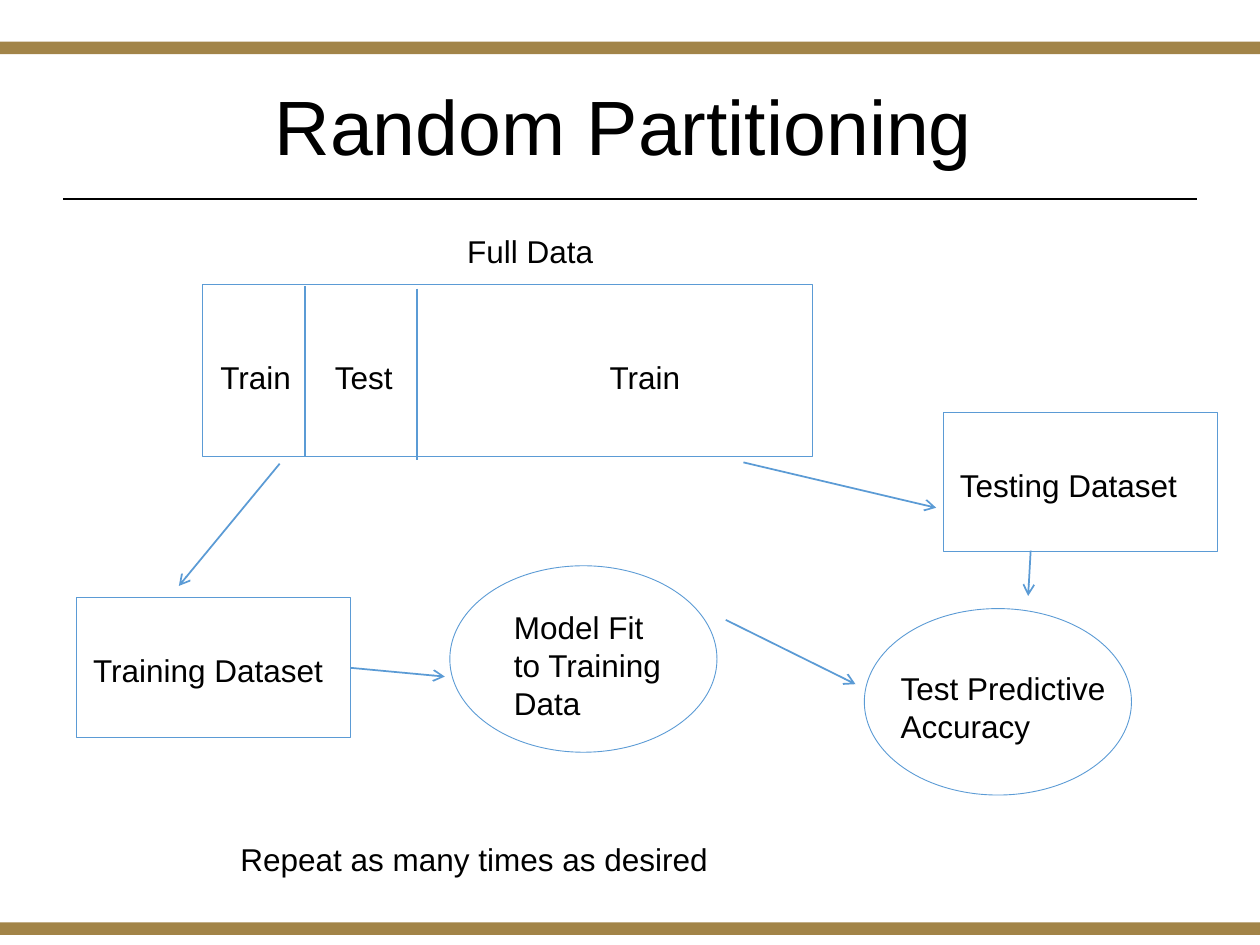
import pptx
import pptx.dml.color
import pptx.enum.shapes
import pptx.enum.text
import pptx.oxml
import pptx.oxml.ns
import pptx.util

RGBColor = pptx.dml.color.RGBColor
Shapes = pptx.enum.shapes.MSO_SHAPE
Text = pptx.enum.text

GOLD = RGBColor(0xA2, 0x84, 0x48)
BLUE = RGBColor(0x5B, 0x9B, 0xD5)
BLACK = RGBColor(0, 0, 0)
FONT = "Arial"

SLIDE_WIDTH = pptx.util.Inches(10)
SLIDE_HEIGHT = pptx.util.Inches(7.5)
COLUMN = SLIDE_WIDTH / 100
ROW = SLIDE_HEIGHT / 75

BOX_SIZE = (21.7, 11.1)
ELLIPSE_SIZE = (21.2, 14.8)
FULL_DATA = (16.1, 22.6, 48.4, 13.6)
LABEL_HEIGHT = 4


def grid(*lengths):
    """Turn alternating columns and rows into slide lengths."""
    return [round(length * (ROW if index % 2 else COLUMN))
            for index, length in enumerate(lengths)]


def style_text(text_frame, size):
    """Give every paragraph the slide's font, size and colour."""
    for paragraph in text_frame.paragraphs:
        paragraph.font.name = FONT
        paragraph.font.size = pptx.util.Pt(size)
        paragraph.font.color.rgb = BLACK


def add_title(slide, text):
    """Fill and place the title placeholder."""
    title = slide.shapes.title
    title.left, title.top, title.width, title.height = grid(6.4, 3.1, 86.2, 14.5)
    text_frame = title.text_frame
    text_frame.text = text
    text_frame.auto_size = Text.MSO_AUTO_SIZE.NONE
    text_frame.vertical_anchor = Text.MSO_ANCHOR.MIDDLE
    text_frame.paragraphs[0].alignment = Text.PP_ALIGN.CENTER
    text_frame.paragraphs[0].line_spacing = 0.9
    style_text(text_frame, 44)


def add_bar(slide, top):
    """Draw a gold band across the slide."""
    bar = slide.shapes.add_shape(Shapes.RECTANGLE, *grid(0, top, 100, 1))
    bar.shadow.inherit = False
    bar.fill.solid()
    bar.fill.fore_color.rgb = GOLD
    bar.line.fill.background()


def add_outline(slide, kind, left, top, width, height):
    """Draw an unfilled shape with a thin blue outline."""
    shape = slide.shapes.add_shape(kind, *grid(left, top, width, height))
    shape.shadow.inherit = False
    shape.fill.background()
    shape.line.color.rgb = BLUE
    shape.line.width = pptx.util.Pt(0.5)


def add_label(slide, text, left, top, width, height=LABEL_HEIGHT, wrap=False):
    """Write a left-aligned text box."""
    text_box = slide.shapes.add_textbox(*grid(left, top, width, height))
    text_frame = text_box.text_frame
    text_frame.text = text
    text_frame.word_wrap = wrap
    text_frame.auto_size = Text.MSO_AUTO_SIZE.SHAPE_TO_FIT_TEXT
    style_text(text_frame, 18)


def add_line(slide, start, end, color=BLUE, width=1, arrow=False):
    """Draw a straight line, with an open arrowhead at its end on request."""
    connector = slide.shapes.add_connector(
        pptx.enum.shapes.MSO_CONNECTOR.STRAIGHT, *grid(*start, *end))
    connector.line.color.rgb = color
    connector.line.width = pptx.util.Pt(width)
    if arrow:
        outline = connector.line._get_or_add_ln()
        outline.append(pptx.oxml.parse_xml(
            f'<a:tailEnd {pptx.oxml.ns.nsdecls("a")} type="arrow"/>'))
    connector._element.spPr.append(pptx.oxml.parse_xml(
        f'<a:effectLst {pptx.oxml.ns.nsdecls("a")}/>'))


def add_dataset(slide, text, left, top, label_width):
    """Draw a dataset box with its label."""
    add_outline(slide, Shapes.RECTANGLE, left, top, *BOX_SIZE)
    add_label(slide, text, left + 0.3, top + 3.8, label_width)


def add_full_data(slide):
    """Draw the full data box split into its partitions."""
    add_label(slide, "Full Data", 36.1, 17.9, 12.1)
    add_outline(slide, Shapes.RECTANGLE, *FULL_DATA)
    for column, top in ((24.2, 22.7), (33.1, 22.9)):
        add_line(slide, (column, top), (column, top + FULL_DATA[3]))
    for text, left, width in (("Train", 16.5, 7.7), ("Test", 25.6, 7.5),
                              ("Train", 47.4, 10.6)):
        add_label(slide, text, left, 27.9, width)


def main():
    """Build the random partitioning slide."""
    presentation = pptx.Presentation()
    presentation.slide_width = SLIDE_WIDTH
    presentation.slide_height = SLIDE_HEIGHT
    slide = presentation.slides.add_slide(presentation.slide_layouts[5])

    for top in (3.3, 73.2):
        add_bar(slide, top)
    add_line(slide, (5, 15.8), (95, 15.8), BLACK, 1.25)
    add_title(slide, "Random Partitioning")

    add_full_data(slide)
    add_dataset(slide, "Training Dataset", 6.1, 47.4, 20.4)
    add_dataset(slide, "Testing Dataset", 74.9, 32.7, 19.4)
    for left, top in ((35.7, 44.9), (68.6, 48.3)):
        add_outline(slide, Shapes.OVAL, left, top, *ELLIPSE_SIZE)
    add_label(slide, "Model Fit to Training Data", 39.8, 47.8, 13.9, 10.1, wrap=True)
    add_label(slide, "Test Predictive\nAccuracy", 70.5, 52.6, 18.4, 7.1)

    for start, end in (((22.2, 36.8), (14.2, 46.5)),
                       ((27.8, 53), (35.3, 53.7)),
                       ((59, 36.7), (74.3, 40.3)),
                       ((57.6, 49.2), (67.9, 54.3)),
                       ((81.8, 43.7), (81.6, 47.3))):
        add_line(slide, start, end, arrow=True)
    add_label(slide, "Repeat as many times as desired", 18.1, 66.2, 39.5)

    presentation.save("out.pptx")


main()
